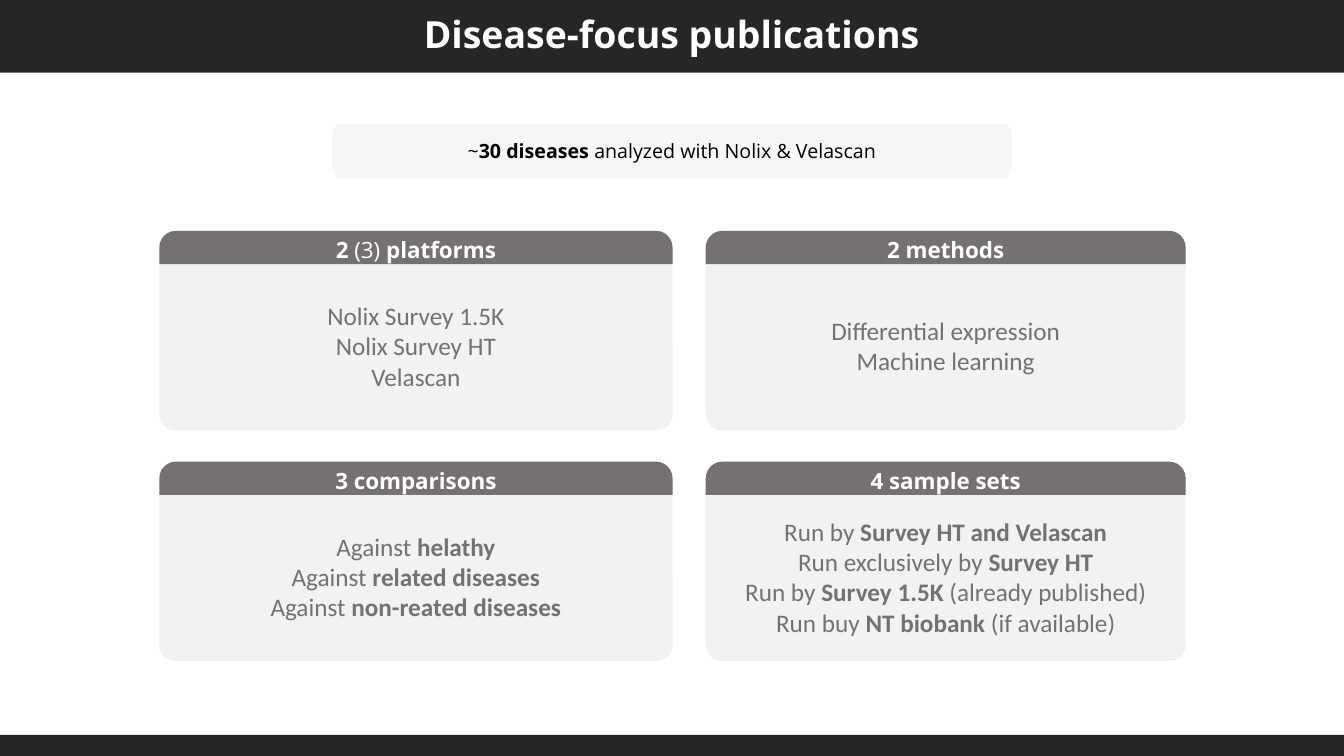
from dataclasses import dataclass
from lxml.etree import SubElement
from pptx import Presentation
from pptx.dml.color import RGBColor as Rgb
from pptx.enum.shapes import MSO_SHAPE as Kind
from pptx.enum.text import MSO_ANCHOR as Anchor, PP_ALIGN as Align
from pptx.oxml.ns import qn
from pptx.util import Inches, Pt


@dataclass(frozen=True)
class Style:
    size: float
    font: str
    color: str


@dataclass(frozen=True)
class Theme:
    bar: str = "262626"
    panel: str = "F2F2F2"
    head: str = "767171"
    title: Style = Style(26.7, "Open Sans", "FFFFFF")
    label: Style = Style(16, "Open Sans", "FFFFFF")
    body: Style = Style(18, "Calibri", "767171")
    note: Style = Style(14, "Open Sans", "000000")


THEME = Theme()
WIDE, HIGH = 13.33, 7.5
LEFT, GAP = 1.58, 0.33
COLS = (5.09, 4.76)
TOP, PITCH = 2.29, 2.29
CARD, HEAD = 1.98, 0.33
ROUND = 0.08

CARDS = [
    [
        ("**2 **(3) **platforms**",
         ["Nolix Survey 1.5K", "Nolix Survey HT", "Velascan"]),
        ("**2 methods**", ["Differential expression", "Machine learning"]),
    ],
    [
        ("**3 comparisons**",
         ["Against **helathy**", "Against **related diseases**",
          "Against **non-reated diseases**"]),
        ("**4 sample sets**",
         ["Run by **Survey HT and Velascan**",
          "Run exclusively by **Survey HT**",
          "Run by **Survey 1.5K **(already published)",
          "Run buy **NT biobank **(if available)"]),
    ],
]


def add_box(slide, kind, area, fill, adjust=()):
    box = slide.shapes.add_shape(kind, *map(Inches, area))
    box.shadow.inherit = False
    box.fill.solid()
    box.fill.fore_color.rgb = Rgb.from_string(fill)
    box.line.fill.background()
    for spot, value in enumerate(adjust):
        box.adjustments[spot] = value
    return box


def write(box, lines, style, space=1.0):
    frame = box.text_frame
    frame.word_wrap = True
    frame.vertical_anchor = Anchor.MIDDLE
    frame.text = "\n".join(line.replace("**", "") for line in lines)
    for para, line in zip(frame.paragraphs, lines):
        para.text = ""
        para.alignment = Align.CENTER
        para.line_spacing = space
        for turn, part in enumerate(line.split("**")):
            if part:
                run = para.add_run()
                run.text = part
                run.font.bold = turn % 2 == 1
                run.font.size = Pt(style.size)
                run.font.name = style.font
                run.font.color.rgb = Rgb.from_string(style.color)


def fade(box, share):
    color = box.fill._xPr.find(qn("a:solidFill"))[0]
    SubElement(color, qn("a:alpha")).set("val", str(share * 1000))


def add_bars(slide, title):
    top = add_box(slide, Kind.RECTANGLE, (0, 0, WIDE, 0.72), THEME.bar)
    write(top, [title], THEME.title, 0.9)
    add_box(slide, Kind.RECTANGLE, (0, HIGH - 0.21, WIDE, 0.21), THEME.bar)


def add_note(slide, text):
    wide = 6.74
    area = ((WIDE - wide) / 2, 1.23, wide, 0.54)
    box = add_box(slide, Kind.ROUNDED_RECTANGLE, area, THEME.panel)
    fade(box, 66)
    write(box, [text], THEME.note)


def add_card(slide, col, row, label, lines):
    left = LEFT + sum(COLS[:col]) + GAP * col
    top = TOP + PITCH * row
    wide = COLS[col]
    panel = add_box(slide, Kind.ROUNDED_RECTANGLE,
                    (left, top, wide, CARD), THEME.panel, [ROUND])
    write(panel, lines, THEME.body)
    panel.text_frame.margin_top = Inches(HEAD + 0.02)
    head = add_box(slide, Kind.ROUND_2_SAME_RECTANGLE,
                   (left, top, wide, HEAD), THEME.head, [0.5, 0])
    write(head, [label], THEME.label)


def main():
    deck = Presentation()
    deck.slide_width, deck.slide_height = Inches(WIDE), Inches(HIGH)
    slide = deck.slides.add_slide(deck.slide_layouts[6])
    add_bars(slide, "**Disease-focus publications**")
    for row, cards in enumerate(CARDS):
        for col, (label, lines) in enumerate(cards):
            add_card(slide, col, row, label, lines)
    add_note(slide, "~**30 diseases **analyzed with Nolix & Velascan")
    deck.save("out.pptx")


if __name__ == "__main__":
    main()
